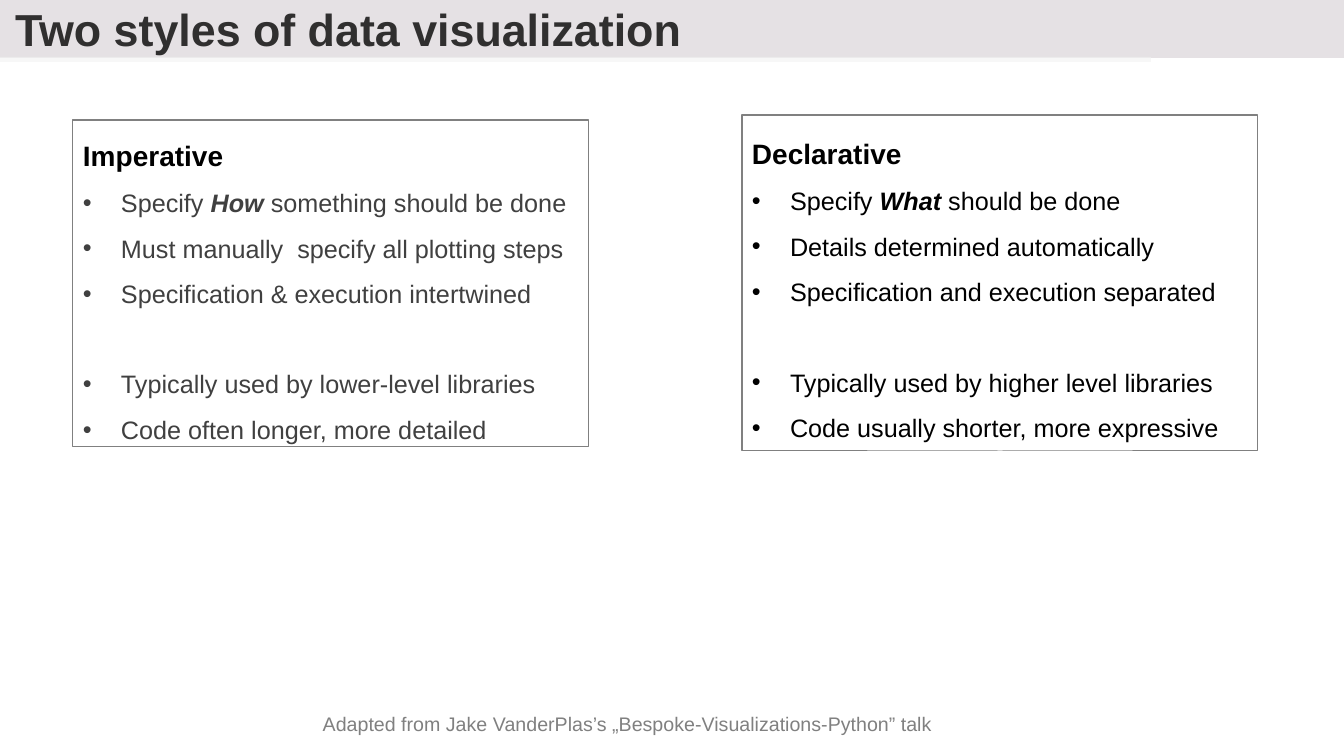
from lxml import etree
from pptx import Presentation
from pptx import util as u
from pptx.dml.color import RGBColor
from pptx.enum import shapes, text
from pptx.oxml import ns

BLACK = RGBColor(0x00, 0x00, 0x00)
CHARCOAL = RGBColor(0x30, 0x2F, 0x2F)
DARK_GRAY = RGBColor(0x40, 0x40, 0x40)
GRAY = RGBColor(0x80, 0x80, 0x80)
PALE_GRAY = RGBColor(0xF2, 0xF2, 0xF2)
MAUVE = RGBColor(0xE5, 0xE1, 0xE4)

FONT = "Arial"
EMU_PER_PX = 914400 / 100.8
TWO_CONTENT = 3
GROUP_GAP = 32.3


def px(length):
    return u.Emu(round(length * EMU_PER_PX))


def write(paragraph, content, size=18, color=BLACK, bold=False, emphasis="",
          bullet=False, margin=0, align=text.PP_ALIGN.LEFT, spacing=1, before=0):
    properties = paragraph._p.get_or_add_pPr()
    properties.set("marL", str(px(margin)))
    properties.set("indent", str(-px(margin) if bullet else 0))
    marker = etree.SubElement(properties, ns.qn("a:buChar" if bullet else "a:buNone"))
    if bullet:
        marker.set("char", "•")
    paragraph.alignment = align
    paragraph.line_spacing = spacing
    paragraph.space_before = u.Pt(before)
    paragraph.space_after = u.Pt(0)
    parts = content.partition(emphasis) if emphasis else (content,)
    for part in filter(None, parts):
        run = paragraph.add_run()
        run.text = part
        font = run.font
        font.name, font.size = FONT, u.Pt(size)
        font.color.rgb = color
        font.bold = bold or part == emphasis
        font.italic = part == emphasis


class SlideBuilder:
    def __init__(self, presentation):
        layout = presentation.slide_layouts[TWO_CONTENT]
        self.slide = presentation.slides.add_slide(layout)

    def place(self, shape, left, top, width, height):
        shape.left, shape.top = px(left), px(top)
        shape.width, shape.height = px(width), px(height)

    def frame(self, shape, anchor, top_inset=5):
        frame = shape.text_frame
        frame.word_wrap = True
        frame.auto_size = text.MSO_AUTO_SIZE.NONE
        frame.vertical_anchor = anchor
        frame.margin_left = frame.margin_right = px(10)
        frame.margin_top, frame.margin_bottom = px(top_inset), px(2)
        return frame

    def strip(self, left, top, width, height, color, opacity):
        shape = self.slide.shapes.add_shape(
            shapes.MSO_SHAPE.RECTANGLE, px(left), px(top), px(width), px(height))
        shape.shadow.inherit = False
        shape.line.fill.background()
        shape.fill.solid()
        shape.fill.fore_color.rgb = color
        rgb = shape._element.spPr.find(".//" + ns.qn("a:srgbClr"))
        etree.SubElement(rgb, ns.qn("a:alpha")).set("val", str(opacity * 1000))

    def title(self, content, *box):
        shape = self.slide.shapes.title
        self.place(shape, *box)
        shape.fill.solid()
        shape.fill.fore_color.rgb = MAUVE
        frame = self.frame(shape, text.MSO_ANCHOR.MIDDLE, top_inset=2)
        write(frame.paragraphs[0], content, size=32, color=CHARCOAL, bold=True, margin=5)

    def style_list(self, index, heading, emphasis, groups, color, top_inset, *box):
        shape = self.slide.placeholders[index]
        self.place(shape, *box)
        shape.line.color.rgb = GRAY
        shape.line.width = u.Pt(0.75)
        frame = self.frame(shape, text.MSO_ANCHOR.TOP, top_inset)
        write(frame.paragraphs[0], heading, size=20, bold=True, spacing=1.5)
        for group_number, group in enumerate(groups):
            for item_number, item in enumerate(group):
                starts_new_group = group_number > 0 and item_number == 0
                write(frame.add_paragraph(), item, color=color, emphasis=emphasis,
                      bullet=True, margin=38, spacing=1.5,
                      before=GROUP_GAP if starts_new_group else 0)

    def credit(self, content, *box):
        shape = self.slide.shapes.add_textbox(*map(px, box))
        frame = self.frame(shape, text.MSO_ANCHOR.MIDDLE, top_inset=2)
        write(frame.paragraphs[0], content, size=14, color=GRAY,
              align=text.PP_ALIGN.CENTER)


def main():
    presentation = Presentation()
    presentation.slide_width, presentation.slide_height = px(1344), px(756)

    builder = SlideBuilder(presentation)
    builder.strip(0, 57, 1151, 5, PALE_GRAY, 60)
    builder.title("Two styles of data visualization", 0, -1, 1345, 59)
    builder.style_list(
        1, "Imperative", "How",
        [["Specify How something should be done",
          "Must manually  specify all plotting steps",
          "Specification & execution intertwined"],
         ["Typically used by lower-level libraries",
          "Code often longer, more detailed"]],
        DARK_GRAY, 2, 73, 120, 516, 327)
    builder.style_list(
        2, "Declarative", "What",
        [["Specify What should be done",
          "Details determined automatically",
          "Specification and execution separated"],
         ["Typically used by higher level libraries",
          "Code usually shorter, more expressive"]],
        BLACK, 5, 742, 115, 516, 336)
    builder.credit("Adapted from Jake VanderPlas’s „Bespoke-Visualizations-Python” talk",
                   189, 707, 877, 34)

    presentation.save("out.pptx")


if __name__ == "__main__":
    main()
